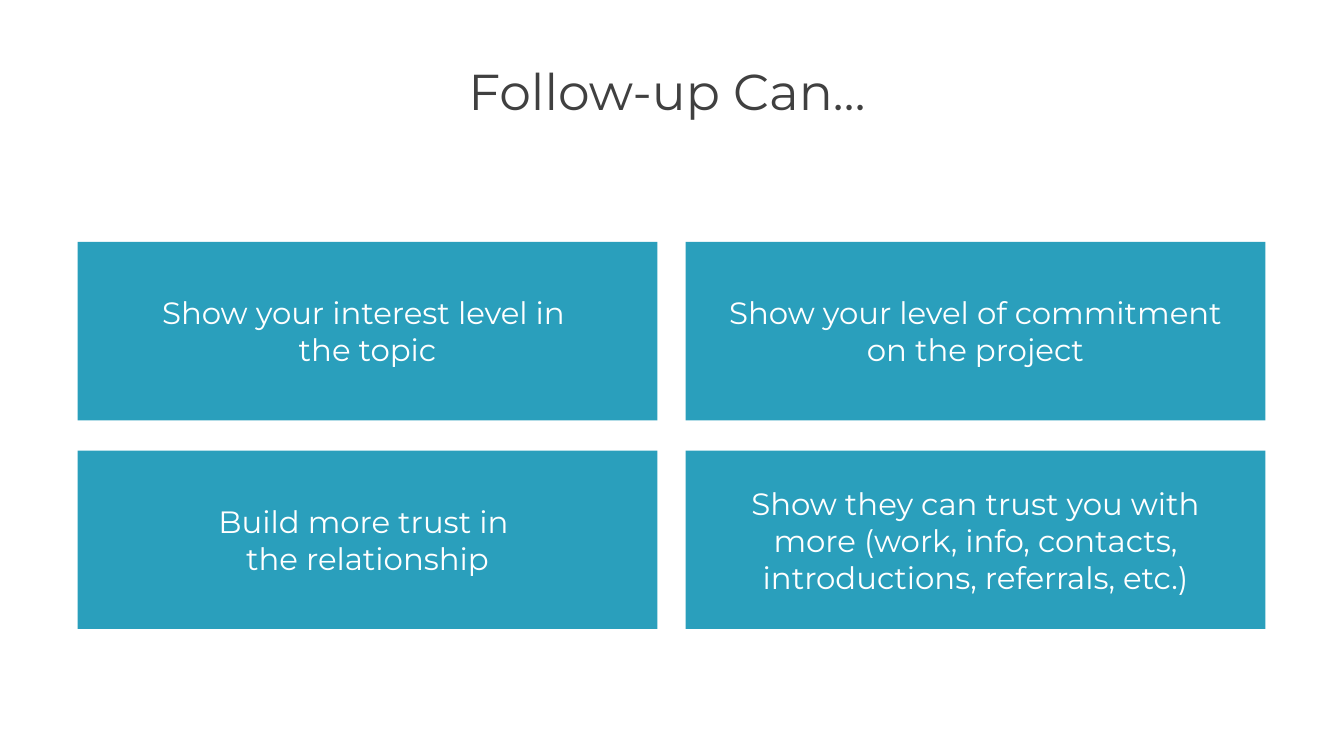
"""Build the slide on what follow-up can do."""
from pptx import Presentation
from pptx.dml.color import RGBColor
from pptx.enum.text import MSO_ANCHOR, MSO_AUTO_SIZE, PP_ALIGN
from pptx.util import Inches, Pt
from lxml.etree import SubElement
from pptx.oxml.ns import qn

TEAL = RGBColor(0x2A, 0x9F, 0xBC)
WHITE = RGBColor(0xFF, 0xFF, 0xFF)
CHARCOAL = RGBColor(0x40, 0x40, 0x40)
FONT = "Montserrat"

LEFT, TOP = 0.77, 2.4
CARD_WIDTH, CARD_HEIGHT = 5.75, 1.77
COLUMN_STEP, ROW_STEP = 6.03, 2.07
CARD_INSET = 0.3

BENEFITS = [
    "Show your interest level in \vthe topic",
    "Show your level of commitment on the project",
    "Build more trust in \vthe relationship",
    "Show they can trust you with more (work, info, contacts, introductions, referrals, etc.)",
]


def place(placeholder, left, top, width, height):
    """Move a placeholder to a position given in inches."""
    placeholder.left, placeholder.top = Inches(left), Inches(top)
    placeholder.width, placeholder.height = Inches(width), Inches(height)


def write(placeholder, text, size, color, anchor, insets):
    """Fill a placeholder with one centred paragraph and return it."""
    frame = placeholder.text_frame
    frame.text = text
    frame.word_wrap = True
    frame.auto_size = MSO_AUTO_SIZE.NONE
    frame.vertical_anchor = anchor
    (frame.margin_left, frame.margin_top,
     frame.margin_right, frame.margin_bottom) = map(Inches, insets)
    paragraph = frame.paragraphs[0]
    paragraph.alignment = PP_ALIGN.CENTER
    for run in paragraph.runs:
        run.font.name = FONT
        run.font.size = Pt(size)
        run.font.bold = False
        run.font.color.rgb = color
    return paragraph


def add_heading(title, text):
    """Format the slide title."""
    place(title, LEFT, 0.64, 11.79, 0.48)
    heading = write(title, text, 36, CHARCOAL, MSO_ANCHOR.TOP, (0, 0.05, 0.1, 0.05))
    heading.line_spacing = 0.85


def add_card(body, text, column, row):
    """Turn a body placeholder into a filled card in the grid."""
    place(body, LEFT + column * COLUMN_STEP, TOP + row * ROW_STEP,
          CARD_WIDTH, CARD_HEIGHT)
    body.fill.solid()
    body.fill.fore_color.rgb = TEAL
    benefit = write(body, text, 22, WHITE, MSO_ANCHOR.MIDDLE, [CARD_INSET] * 4)
    benefit.space_before = Pt(18)
    properties = benefit._p.get_or_add_pPr()
    properties.set("marL", "0")
    properties.set("indent", "0")
    SubElement(properties, qn("a:buNone"))


def main():
    """Create the presentation and save it."""
    presentation = Presentation()
    presentation.slide_width = Inches(13.33)
    presentation.slide_height = Inches(7.5)
    comparison = presentation.slide_layouts.get_by_name("Comparison")
    slide = presentation.slides.add_slide(comparison)
    add_heading(slide.shapes.title, "Follow-up Can…")
    bodies = list(slide.placeholders)[1:]
    for index, (body, benefit) in enumerate(zip(bodies, BENEFITS)):
        row, column = divmod(index, 2)
        add_card(body, benefit, column, row)
    presentation.save("out.pptx")


if __name__ == "__main__":
    main()
